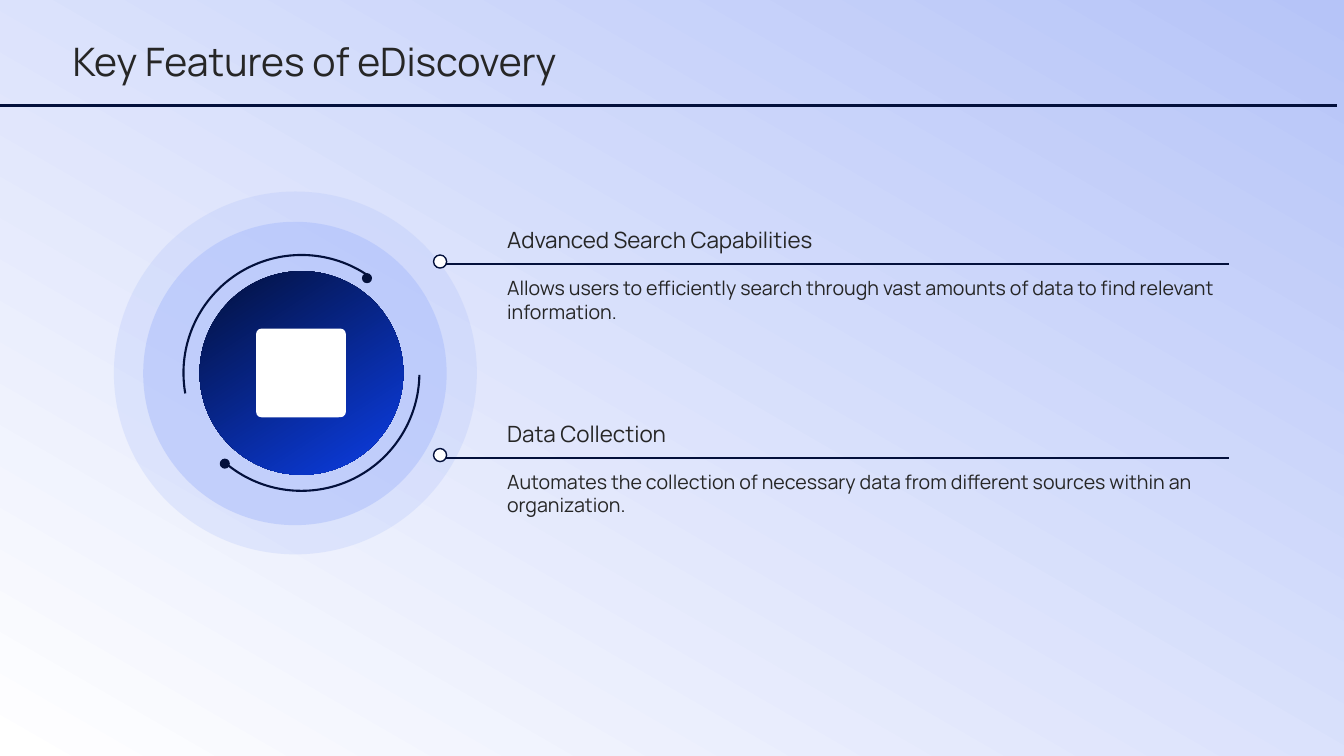
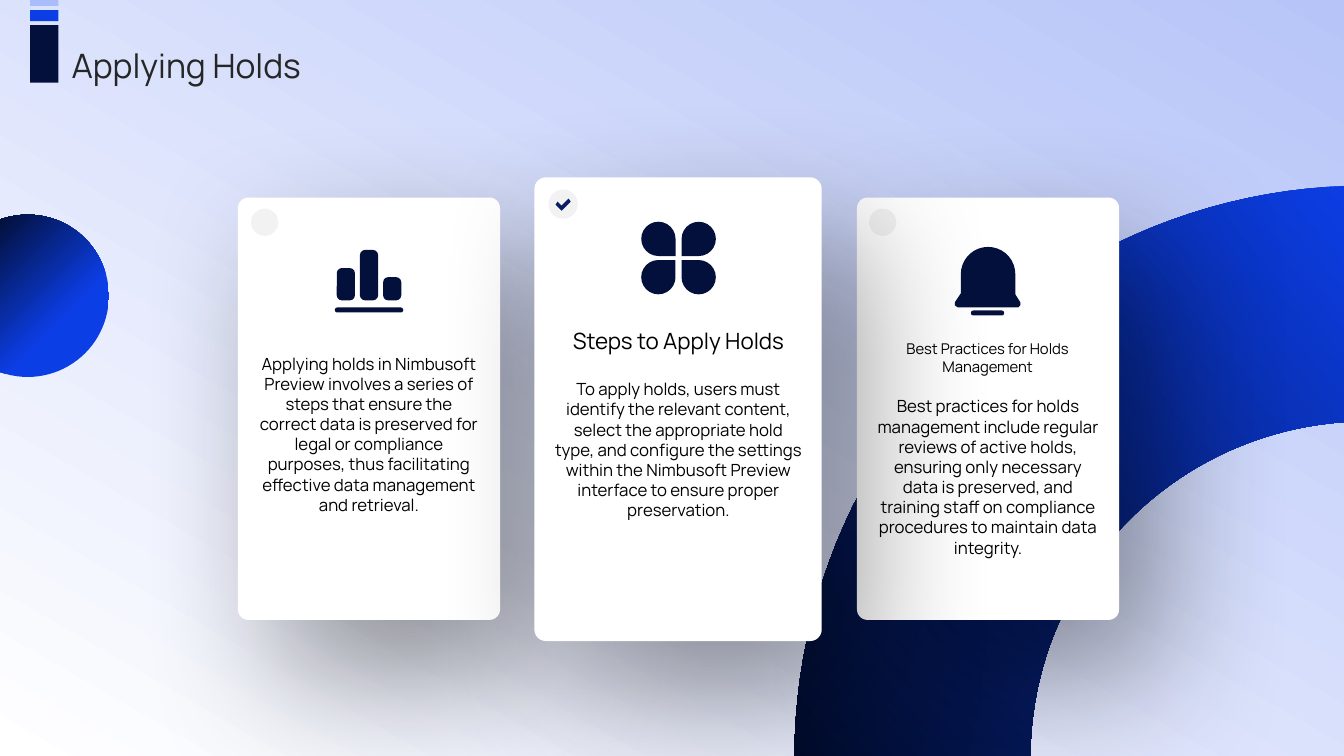
from dataclasses import dataclass
from math import cos, radians, sin

from lxml.etree import SubElement
from pptx import Presentation
from pptx.dml.color import RGBColor
from pptx.enum.shapes import MSO_CONNECTOR, MSO_SHAPE
from pptx.enum.text import MSO_ANCHOR, PP_ALIGN
from pptx.oxml.ns import qn
from pptx.util import Inches, Pt


@dataclass(frozen=True)
class Theme:
    font: str = "Manrope"
    navy: str = "03103B"
    midnight: str = "020C2C"
    blue: str = "0C3EE6"
    sky: str = "AABDFB"
    mist: str = "B6C4F8"
    check: str = "091D65"
    white: str = "FFFFFF"
    grey: str = "F2F2F2"
    ink: str = "262626"
    black: str = "000000"
    title: float = 28
    small_title: float = 24
    heading: float = 16
    body: float = 14
    card_body: float = 12
    small_heading: float = 10.6


THEME = Theme()


def add_figure(slide, kind, geometry, fill=None, line=None, line_width=1, alpha=None,
               gradient=None, angle=0, rotation=0, adjustments=()):
    """Add a preset shape in a box, or an outline through points when kind is None.

    gradient is a pair of (position, colour); angle runs clockwise in degrees.
    """
    if kind is None:
        points = [(Inches(x), Inches(y)) for x, y in geometry]
        builder = slide.shapes.build_freeform(*points[0])
        builder.add_line_segments(points[1:], close=True)
        shape = builder.convert_to_shape()
    else:
        shape = slide.shapes.add_shape(kind, *map(Inches, geometry))
    shape.shadow.inherit = False
    shape.rotation = rotation
    for index, value in enumerate(adjustments):
        shape.adjustments[index] = value
    if gradient:
        shape.fill.gradient()
        shape.fill.gradient_angle = 360 - angle
        for stop, (position, color) in zip(shape.fill.gradient_stops, gradient):
            stop.position = position
            stop.color.rgb = RGBColor.from_string(color)
    elif fill:
        shape.fill.solid()
        shape.fill.fore_color.rgb = RGBColor.from_string(fill)
        if alpha:
            color = shape.fill._xPr.find(".//" + qn("a:srgbClr"))
            SubElement(color, qn("a:alpha"), val=str(alpha * 1000))
    else:
        shape.fill.background()
    if line:
        shape.line.color.rgb = RGBColor.from_string(line)
        shape.line.width = Pt(line_width)
    else:
        shape.line.fill.background()
    return shape


def add_text(slide, text, box, size, color=THEME.ink, align=PP_ALIGN.LEFT, anchor=MSO_ANCHOR.TOP):
    frame = slide.shapes.add_textbox(*map(Inches, box)).text_frame
    frame.word_wrap = True
    frame.vertical_anchor = anchor
    frame.margin_left = frame.margin_top = frame.margin_right = frame.margin_bottom = 0
    paragraph = frame.paragraphs[0]
    paragraph.text = text
    paragraph.alignment = align
    paragraph.font.name = THEME.font
    paragraph.font.size = Pt(size)
    paragraph.font.color.rgb = RGBColor.from_string(color)


presentation = Presentation()
presentation.slide_width = Inches(13.33)
presentation.slide_height = Inches(7.5)

titles = [
    ("Key Features of eDiscovery", (0.72, 0.35, 11.67, 0.51), THEME.title, MSO_ANCHOR.MIDDLE),
    ("Applying Holds", (0.71, 0.45, 12.36, 0.36), THEME.small_title, MSO_ANCHOR.TOP),
]
for title, box, size, anchor in titles:
    slide = presentation.slides.add_slide(presentation.slide_layouts[6])
    add_figure(slide, MSO_SHAPE.RECTANGLE, (0, 0, 13.33, 7.5),
               gradient=((0, THEME.mist), (1, THEME.white)), angle=120)
    add_text(slide, title, box, size, anchor=anchor)
features_slide, holds_slide = presentation.slides

# Features: emblem
for left, top, diameter, alpha in [(1.13, 1.9, 3.6, 24), (1.42, 2.2, 3.01, 51)]:
    add_figure(features_slide, MSO_SHAPE.OVAL, (left, top, diameter, diameter),
               fill=THEME.sky, alpha=alpha)
add_figure(features_slide, MSO_SHAPE.OVAL, (1.98, 2.69, 2.02, 2.02),
           gradient=((0, THEME.navy), (1, THEME.blue)), angle=57)
arcs = [(170, 305, 3.59, 2.71), (1, 130, 2.18, 4.55)]
for start, end, dot_left, dot_top in arcs:
    # Arc adjustments count 60000 per degree, scaled by 100000
    add_figure(features_slide, MSO_SHAPE.ARC, (1.82, 2.53, 2.34, 2.34), line=THEME.navy,
               line_width=1.5, adjustments=(start * 0.6, end * 0.6))
    add_figure(features_slide, MSO_SHAPE.OVAL, (dot_left, dot_top, 0.1, 0.1), fill=THEME.navy)
add_figure(features_slide, MSO_SHAPE.ROUNDED_RECTANGLE, (2.54, 3.26, 0.89, 0.88),
           fill=THEME.white, adjustments=(0.06,))

# Features: rules and descriptions
for left, right, y, width in [(0, 13.26, 1.05, 2.25), (4.35, 12.19, 2.62, 1.5),
                              (4.35, 12.19, 4.54, 1.5)]:
    rule = features_slide.shapes.add_connector(
        MSO_CONNECTOR.STRAIGHT, Inches(left), Inches(y), Inches(right), Inches(y))
    rule.line.color.rgb = RGBColor.from_string(THEME.navy)
    rule.line.width = Pt(width)
    SubElement(rule._element.spPr, qn("a:effectLst"))

features = [
    ("Advanced Search Capabilities",
     "Allows users to efficiently search through vast amounts of data to find relevant information."),
    ("Data Collection",
     "Automates the collection of necessary data from different sources within an organization."),
]
for index, (heading, description) in enumerate(features):
    top = 2.1 + index * 1.92
    add_figure(features_slide, MSO_SHAPE.OVAL, (4.3, top + 0.43, 0.13, 0.13),
               fill=THEME.white, line=THEME.navy)
    add_text(features_slide, heading, (5.03, top, 7.11, 0.41), THEME.heading,
             anchor=MSO_ANCHOR.BOTTOM)
    add_text(features_slide, description, (5.03, top + 0.64, 7.11, 1.38), THEME.body)

# Holds: decoration
quarter = range(180, 271, 2)
ring = [(13.56 + radius * cos(radians(degree)), 7.52 + radius * sin(radians(degree)))
        for radius, degrees in ((5.68, quarter), (3.34, reversed(quarter)))
        for degree in degrees]
add_figure(holds_slide, None, ring, gradient=((0.01, THEME.blue), (1, THEME.midnight)), angle=140)
add_figure(holds_slide, MSO_SHAPE.OVAL, (-0.53, 2.13, 1.61, 1.61),
           gradient=((0.32, THEME.blue), (0.87, THEME.midnight)), angle=225)
for top, height, color in [(0.25, 0.57, THEME.navy), (0.1, 0.11, THEME.blue), (0, 0.06, THEME.sky)]:
    add_figure(holds_slide, MSO_SHAPE.RECTANGLE, (0.3, top, 0.28, height), fill=color)

# Holds: cards, the raised middle one last
cards = [
    ((2.36, 1.96, 2.6, 4.19), (2.49, 2.07, 0.27)),
    ((8.5, 1.96, 2.6, 4.19), (8.62, 2.07, 0.27)),
    ((5.3, 1.76, 2.85, 4.6), (5.44, 1.88, 0.29)),
]
for box, (left, top, diameter) in cards:
    card = add_figure(holds_slide, MSO_SHAPE.ROUNDED_RECTANGLE, box, fill=THEME.white,
                      adjustments=(0.04,))
    shadow = SubElement(card._element.spPr.find(qn("a:effectLst")), qn("a:outerShdw"),
                        blurRad=str(Pt(100)), dist=str(Pt(49)), dir=str(55 * 60000),
                        algn="ctr", rotWithShape="0")
    shadow_color = SubElement(shadow, qn("a:srgbClr"), val=THEME.black)
    SubElement(shadow_color, qn("a:alpha"), val="40000")
    add_figure(holds_slide, MSO_SHAPE.OVAL, (left, top, diameter, diameter), fill=THEME.grey)

check_mark = [(5.51, 2.03), (5.53, 2), (5.57, 2.04), (5.64, 1.97), (5.66, 2), (5.57, 2.09)]
add_figure(holds_slide, None, check_mark, fill=THEME.check)

card_texts = [
    ("Applying holds in Nimbusoft Preview involves a series of steps that ensure the correct data "
     "is preserved for legal or compliance purposes, thus facilitating effective data management "
     "and retrieval.", (2.54, 3.27, 2.24, 2.07), THEME.card_body, MSO_ANCHOR.MIDDLE),
    ("Steps to Apply Holds", (5.5, 3.1, 2.46, 0.55), THEME.heading, MSO_ANCHOR.MIDDLE),
    ("To apply holds, users must identify the relevant content, select the appropriate hold type, "
     "and configure the settings within the Nimbusoft Preview interface to ensure proper "
     "preservation.", (5.5, 3.76, 2.46, 1.92), THEME.card_body, MSO_ANCHOR.TOP),
    ("Best Practices for Holds Management", (8.69, 3.27, 2.21, 0.55), THEME.small_heading,
     MSO_ANCHOR.MIDDLE),
    ("Best practices for holds management include regular reviews of active holds, ensuring only "
     "necessary data is preserved, and training staff on compliance procedures to maintain data "
     "integrity.", (8.7, 3.93, 2.2, 1.92), THEME.card_body, MSO_ANCHOR.TOP),
]
for text, box, size, anchor in card_texts:
    add_text(holds_slide, text, box, size, THEME.black, PP_ALIGN.CENTER, anchor)

# Holds: card icons
for left, top, rotation in [(6.36, 2.2, 90), (6.76, 2.2, 180), (6.36, 2.58, 0), (6.76, 2.58, 270)]:
    add_figure(holds_slide, MSO_SHAPE.TEAR, (left, top, 0.34, 0.34), fill=THEME.navy,
               rotation=rotation)
chart_bars = [(3.34, 2.66, 0.18, 0.32), (3.57, 2.48, 0.18, 0.5), (3.8, 2.75, 0.18, 0.23)]
for box in chart_bars:
    add_figure(holds_slide, MSO_SHAPE.ROUNDED_RECTANGLE, box, fill=THEME.navy, adjustments=(0.28,))
chart_base, bell_base = (3.32, 3.05, 0.68, 0.05), (9.63, 3.08, 0.33, 0.05)
for box in (chart_base, bell_base):
    add_figure(holds_slide, MSO_SHAPE.ROUNDED_RECTANGLE, box, fill=THEME.navy, adjustments=(0.5,))
bell_dome = [(9.8 + 0.27 * cos(radians(degree)), 2.72 + 0.27 * sin(radians(degree)))
             for degree in range(180, 361, 10)]
bell_rim = [(10.07, 2.92), (10.12, 3), (10.12, 3.03), (10.1, 3.05),
            (9.5, 3.05), (9.47, 3.03), (9.47, 3), (9.53, 2.91)]
add_figure(holds_slide, None, bell_dome + bell_rim, fill=THEME.navy)

presentation.save("out.pptx")
